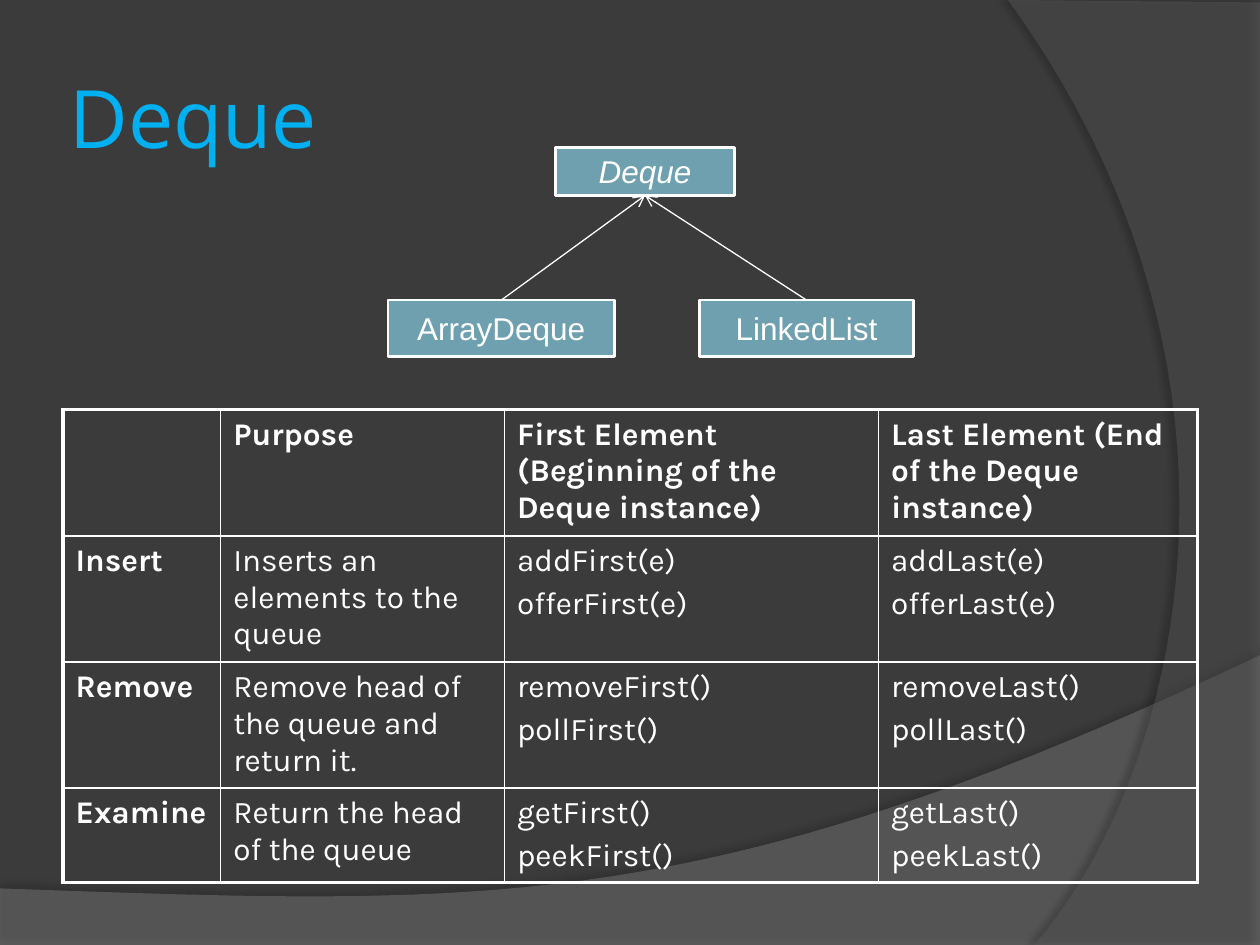
from lxml.etree import SubElement
from pptx import Presentation
from pptx.dml.color import RGBColor
from pptx.enum.shapes import MSO_CONNECTOR, MSO_SHAPE
from pptx.enum.text import MSO_ANCHOR, PP_ALIGN
from pptx.oxml.ns import qn
from pptx.util import Cm, Pt

BACKGROUND = RGBColor(0x3B, 0x3B, 0x3B)
WAVE_GREY = RGBColor(0x7F, 0x7F, 0x7F)
ARC_GREY = RGBColor(0x5E, 0x5E, 0x5E)
BLACK = RGBColor(0, 0, 0)
WHITE = RGBColor(0xFF, 0xFF, 0xFF)
SKY = RGBColor(0x00, 0xB0, 0xF0)
TEAL = RGBColor(0x6E, 0xA0, 0xB0)

WIDTH, HEIGHT = 25.4, 19.05
THIN, THICK = 1, 2.25
COLUMN_WIDTHS = [3.18, 5.72, 7.54, 6.43]
ROW_HEIGHTS = [2.49, 2.49, 2.49, 1.88]
ROWS = [
    ["", "Purpose", "First Element (Beginning of the Deque instance)",
     "Last Element (End of the Deque instance)"],
    ["Insert", "Inserts an elements to the queue",
     "addFirst(e)\nofferFirst(e)", "addLast(e)\nofferLast(e)"],
    ["Remove", "Remove head of the queue and return it.",
     "removeFirst()\npollFirst()", "removeLast()\npollLast()"],
    ["Examine", "Return the head of the queue",
     "getFirst()\npeekFirst()", "getLast()\npeekLast()"],
]


def add_node(parent, tag, **attributes):
    """Append an XML element with the given attributes."""
    values = {name: str(value) for name, value in attributes.items()}
    return SubElement(parent, qn(tag), values)


def add_color(parent, color, opacity=None):
    """Append an RGB colour, with an opacity in percent if given."""
    node = add_node(parent, "a:srgbClr", val=color)
    if opacity is not None:
        add_node(node, "a:alpha", val=opacity * 1000)


def curve(start, first, second, end, steps=40):
    """Return points along a cubic Bezier curve."""
    points = []
    for step in range(steps + 1):
        t = step / steps
        weights = ((1 - t) ** 3, 3 * t * (1 - t) ** 2, 3 * t * t * (1 - t), t ** 3)
        controls = (start, first, second, end)
        points.append(tuple(sum(w * c[axis] for w, c in zip(weights, controls))
                            for axis in (0, 1)))
    return points


class SlideBuilder:
    """Hold the style and the current slide."""

    body_font = "Karla"
    label_font = "Arial"
    title_font = "Open Sans"
    text_size = 18

    def __init__(self, deck):
        """Add a blank page with a plain background."""
        self.page = deck.slides.add_slide(deck.slide_layouts[6])
        fill = self.page.background.fill
        fill.solid()
        fill.fore_color.rgb = BACKGROUND

    def add_text(self, frame, text, font, size=text_size, color=WHITE,
                 align=PP_ALIGN.LEFT, before=0, **style):
        """Add one paragraph for each line of text."""
        frame.word_wrap = True
        for index, line in enumerate(text.split("\n")):
            para = frame.paragraphs[0] if index == 0 else frame.add_paragraph()
            para.alignment = align
            para.space_before = Pt(before)
            span = para.add_run()
            span.text = line
            span.font.color.rgb = color
            formats = {"name": font, "size": Pt(size), **style}
            for name, value in formats.items():
                setattr(span.font, name, value)

    def set_margins(self, frame, margin):
        """Give a text frame equal margins and centre it vertically."""
        for side in ("left", "right", "top", "bottom"):
            setattr(frame, "margin_" + side, Cm(margin))
        frame.vertical_anchor = MSO_ANCHOR.MIDDLE

    def title(self, text, left, top, width, height):
        """Add the slide title."""
        box = self.page.shapes.add_textbox(Cm(left), Cm(top), Cm(width), Cm(height))
        self.set_margins(box.text_frame, 0.13)
        self.add_text(box.text_frame, text, self.title_font, 46, SKY)

    def backdrop(self, points, color, opacity, shade, blur, distance, angle):
        """Add a translucent outline with a soft shadow."""
        corners = [(Cm(x), Cm(y)) for x, y in points]
        builder = self.page.shapes.build_freeform(*corners[0])
        builder.add_line_segments(corners[1:], close=True)
        shape = builder.convert_to_shape()
        shape.fill.solid()
        shape.fill.fore_color.rgb = color
        solid = shape.element.spPr.find(qn("a:solidFill"))
        add_node(solid[0], "a:alpha", val=opacity * 1000)
        shape.line.fill.background()
        shape.shadow.inherit = False
        effects = shape.element.spPr.find(qn("a:effectLst"))
        shadow = add_node(effects, "a:outerShdw", blurRad=Pt(blur), dist=Pt(distance),
                          dir=angle * 60000, algn="ctr", rotWithShape=0)
        add_color(shadow, BLACK, shade)

    def class_box(self, name, left, top, width, height, italic=False):
        """Add a labelled box for one type."""
        box = self.page.shapes.add_shape(
            MSO_SHAPE.RECTANGLE, Cm(left), Cm(top), Cm(width), Cm(height))
        box.shadow.inherit = False
        box.fill.solid()
        box.fill.fore_color.rgb = TEAL
        box.line.color.rgb = WHITE
        box.line.width = Pt(1.5)
        self.set_margins(box.text_frame, 0)
        self.add_text(box.text_frame, name, self.label_font,
                      align=PP_ALIGN.CENTER, italic=italic)
        return box

    def arrow(self, child, parent):
        """Join the top of a child to the bottom of its parent."""
        link = self.page.shapes.add_connector(MSO_CONNECTOR.STRAIGHT, 0, 0, 0, 0)
        link.begin_connect(child, 0)
        link.end_connect(parent, 2)
        link.line.color.rgb = WHITE
        link.line.width = Pt(0.75)
        properties = link.element.spPr
        add_node(properties.find(qn("a:ln")), "a:tailEnd", type="arrow")
        add_node(properties, "a:effectLst")

    def table(self, rows, left, top, widths, heights):
        """Add a grid with a thick outer frame and bold headings."""
        frame = self.page.shapes.add_table(
            len(rows), len(widths), Cm(left), Cm(top), Cm(sum(widths)), Cm(sum(heights)))
        grid = frame.table
        grid.first_row = grid.horz_banding = False
        for column, width in zip(grid.columns, widths):
            column.width = Cm(width)
        for row, height in zip(grid.rows, heights):
            row.height = Cm(height)
        for r, texts in enumerate(rows):
            for c, text in enumerate(texts):
                cell = grid.cell(r, c)
                outer = {"L": c == 0, "R": c == len(widths) - 1,
                         "T": r == 0, "B": r == len(rows) - 1}
                self.cell_borders(cell, outer)
                cell.fill.background()
                if text:
                    self.add_text(cell.text_frame, text, self.body_font,
                                  before=3.6, bold=r == 0 or c == 0)

    def cell_borders(self, cell, outer):
        """Draw the four borders of a cell, thick on outer sides."""
        properties = cell._tc.get_or_add_tcPr()
        for side, is_outer in outer.items():
            line = add_node(properties, "a:ln" + side, w=Pt(THICK if is_outer else THIN))
            add_color(add_node(line, "a:solidFill"), WHITE)


def main():
    """Build the slide and save it."""
    deck = Presentation()
    deck.slide_width, deck.slide_height = Cm(WIDTH), Cm(HEIGHT)
    slide = SlideBuilder(deck)

    wave = [(0, HEIGHT), (WIDTH, HEIGHT)]
    wave += curve((WIDTH, 13.21), (14.2, 18.52), (9.93, 18.26), (0, 17.91))
    arc = [(WIDTH, 0.05), (WIDTH, HEIGHT)]
    arc += curve((20.85, HEIGHT), (23.75, 15.72), (25.86, 7.62), (20.32, 0))
    slide.backdrop(wave, WAVE_GREY, 45, shade=35, blur=4, distance=3.5, angle=270)
    slide.backdrop(arc, ARC_GREY, 40, shade=45, blur=4, distance=4, angle=180)

    slide.title("Deque", 1.27, 0.76, 20.75, 3.18)
    slide.table(ROWS, 1.27, 8.26, COLUMN_WIDTHS, ROW_HEIGHTS)

    parent = slide.class_box("Deque", 11.2, 2.97, 3.61, 0.97, italic=True)
    children = [slide.class_box(name, left, 6.05, width, 1.14)
                for name, left, width in (("ArrayDeque", 7.82, 4.57),
                                          ("LinkedList", 14.1, 4.32))]
    for child in children:
        slide.arrow(child, parent)

    deck.save("out.pptx")


main()
